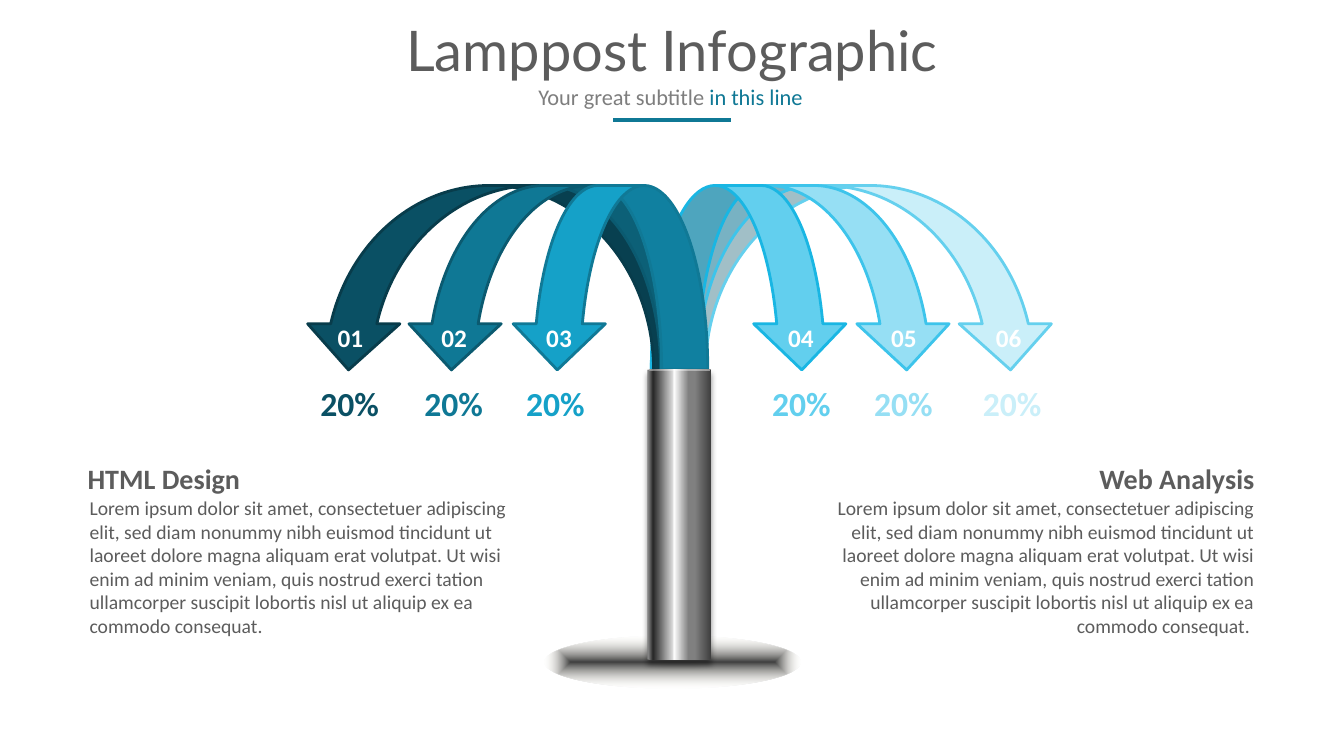
from dataclasses import dataclass

from lxml import etree
from pptx import Presentation
from pptx.dml.color import RGBColor
from pptx.enum.shapes import MSO_CONNECTOR, MSO_SHAPE
from pptx.enum.text import MSO_ANCHOR, MSO_AUTO_SIZE, PP_ALIGN
from pptx.oxml import parse_xml
from pptx.oxml.ns import nsdecls, qn
from pptx.util import Inches, Pt

LEFT, CENTER, RIGHT = PP_ALIGN.LEFT, PP_ALIGN.CENTER, PP_ALIGN.RIGHT
MIDDLE = MSO_ANCHOR.MIDDLE
GROW = MSO_AUTO_SIZE.SHAPE_TO_FIT_TEXT
ELLIPSE, CAN, BEND = MSO_SHAPE.OVAL, MSO_SHAPE.CAN, MSO_SHAPE.CURVED_DOWN_ARROW
STRAIGHT = MSO_CONNECTOR.STRAIGHT

COLORS = {"text": "5C5C5C", "muted": "7E7E7E", "accent": "0F7895", "white": "FFFFFF"}
LOREM = (
    "Lorem ipsum dolor sit amet, consectetuer adipiscing elit, sed diam nonummy "
    "nibh euismod tincidunt ut laoreet dolore magna aliquam erat volutpat. Ut wisi "
    "enim ad minim veniam, quis nostrud exerci tation ullamcorper suscipit lobortis "
    "nisl ut aliquip ex ea commodo consequat."
)
ARM_TOP, ARM_HEIGHT = 1.84, 1.83


@dataclass
class Arm:
    label: str
    left: float
    width: float
    fill: str
    edge: str
    flip: bool
    label_left: float
    share_left: float
    share: str = "20%"


@dataclass
class Note:
    head: str
    body: str
    head_left: float
    head_width: float
    body_left: float
    align: PP_ALIGN


# Outer arms come first, so that the inner ones lie on top
ARMS = [
    Arm("06", 6.54, 3.94, "CAEFF9", "65D0EE", False, 9.72, 9.65),
    Arm("05", 6.46, 2.99, "96DFF4", "3DC4EB", False, 8.68, 8.57),
    Arm("04", 6.46, 1.95, "62CFEE", "19B6E3", False, 7.66, 7.56),
    Arm("01", 3.00, 3.94, "0A5064", "083C4B", True, 3.19, 3.08),
    Arm("02", 4.02, 2.99, "0F7895", "0B5A70", True, 4.22, 4.11),
    Arm("03", 5.07, 1.95, "15A1C8", "107996", True, 5.26, 5.12),
]
NOTES = [
    Note("Web Analysis", LOREM + " ", 10.79, 1.75, 7.94, RIGHT),
    Note("HTML Design", LOREM, 0.77, 1.79, 0.79, LEFT),
]
BASE_STOPS = [(0, "404040", 100), (100, "EEECE1", 0)]
POLE_STOPS = [
    (2, "808080", 100), (9, "262626", 100), (40, "D9D9D9", 100), (42, "FFFFFF", 100),
    (65, "808080", 100), (75, "808080", 100), (100, "404040", 100),
]
BASE_PATH = ('<a:path path="shape"><a:fillToRect l="50000" t="50000" '
             'r="50000" b="50000"/></a:path>')
POLE_PATH = '<a:lin ang="0" scaled="0"/>'


def rgb(code: str) -> RGBColor:
    return RGBColor.from_string(code)


def add_text(slide, box: tuple, text: str, size: int, color: str, font: str = "Calibri",
             bold: bool = False, align: PP_ALIGN = LEFT, wrap: bool = True):
    """Add a one-paragraph text box and return its frame."""
    frame = slide.shapes.add_textbox(*map(Inches, box)).text_frame
    frame.word_wrap = wrap
    frame.auto_size = GROW
    para = frame.paragraphs[0]
    para.alignment = align
    para.add_run().text = text
    para.font.size, para.font.name, para.font.bold = Pt(size), font, bold
    para.font.color.rgb = rgb(color)
    return frame


def add_shape(slide, kind: MSO_SHAPE, box: tuple):
    shape = slide.shapes.add_shape(kind, *map(Inches, box))
    shape.shadow.inherit = False
    shape.fill.background()
    shape.line.fill.background()
    return shape


def shade(shape, stops: list, path: str) -> None:
    """Replace the empty fill by a gradient of (place, color, alpha) stops."""
    marks = "".join(
        f'<a:gs pos="{place * 1000}"><a:srgbClr val="{color}">'
        f'<a:alpha val="{alpha * 1000}"/></a:srgbClr></a:gs>'
        for place, color, alpha in stops
    )
    props = shape._element.spPr
    props.replace(props.find(qn("a:noFill")), parse_xml(
        f'<a:gradFill {nsdecls("a")} rotWithShape="1"><a:gsLst>{marks}</a:gsLst>'
        f"{path}</a:gradFill>"))


def add_header(slide) -> None:
    title = add_text(slide, (2.01, 0, 9.31, 1.06), "Lamppost Infographic", 40,
                     COLORS["text"], "Lato", align=CENTER)
    title.auto_size = MSO_AUTO_SIZE.NONE
    title.vertical_anchor = MIDDLE
    title.paragraphs[0].line_spacing = 0.9

    line = add_text(slide, (5.24, 0.78, 2.85, 0.37), "Your great subtitle ", 16,
                    COLORS["muted"], wrap=False).paragraphs[0]
    line.runs[0].font.color.rgb = rgb(COLORS["muted"])
    end = line.add_run()
    end.text = "in this line"
    end.font.color.rgb = rgb(COLORS["accent"])

    rule = slide.shapes.add_connector(
        STRAIGHT, Inches(6.08), Inches(1.19), Inches(7.25), Inches(1.19))
    rule.line.color.rgb = rgb(COLORS["accent"])
    rule.line.width = Pt(3.25)
    etree.SubElement(rule._element.spPr, qn("a:effectLst"))


def add_note(slide, note: Note) -> None:
    add_text(slide, (note.body_left, 4.87, 4.6, 1.51), note.body, 14,
             COLORS["text"], align=note.align)
    add_text(slide, (note.head_left, 4.53, note.head_width, 0.44), note.head, 20,
             COLORS["text"], bold=True, align=note.align, wrap=False)


def add_arm(slide, arm: Arm) -> None:
    shape = add_shape(slide, BEND, (arm.left, ARM_TOP, arm.width, ARM_HEIGHT))
    shape.fill.solid()
    shape.fill.fore_color.rgb = rgb(arm.fill)
    shape.line.color.rgb = rgb(arm.edge)
    shape.line.width = Pt(2)
    if arm.flip:
        shape._element.spPr.find(qn("a:xfrm")).set("flipH", "1")


def add_pole(slide) -> None:
    pole = add_shape(slide, CAN, (6.42, 3.66, 0.63, 2.89))
    pole.adjustments[0] = 0.027
    shade(pole, POLE_STOPS, POLE_PATH)
    pole._element.spPr.find(qn("a:effectLst")).append(parse_xml(
        f'<a:outerShdw {nsdecls("a")} blurRad="{Pt(4)}" dist="{Pt(3)}" dir="5400000" '
        'rotWithShape="0"><a:srgbClr val="000000"><a:alpha val="40000"/></a:srgbClr>'
        "</a:outerShdw>"))


def add_labels(slide, arm: Arm) -> None:
    add_text(slide, (arm.label_left, 3.15, 0.57, 0.4), arm.label, 18,
             COLORS["white"], bold=True, align=CENTER)
    add_text(slide, (arm.share_left, 3.75, 0.79, 0.5), arm.share, 24,
             arm.fill, bold=True, wrap=False)


def main() -> None:
    deck = Presentation()
    deck.slide_width, deck.slide_height = Inches(13.33), Inches(7.5)
    slide = deck.slides.add_slide(deck.slide_layouts[6])
    shade(add_shape(slide, ELLIPSE, (5.4, 6.31, 2.54, 0.52)), BASE_STOPS, BASE_PATH)
    add_header(slide)
    for note in NOTES:
        add_note(slide, note)
    for arm in ARMS:
        add_arm(slide, arm)
    add_pole(slide)
    for arm in sorted(ARMS, key=lambda arm: arm.label):
        add_labels(slide, arm)
    deck.save("out.pptx")


if __name__ == "__main__":
    main()
